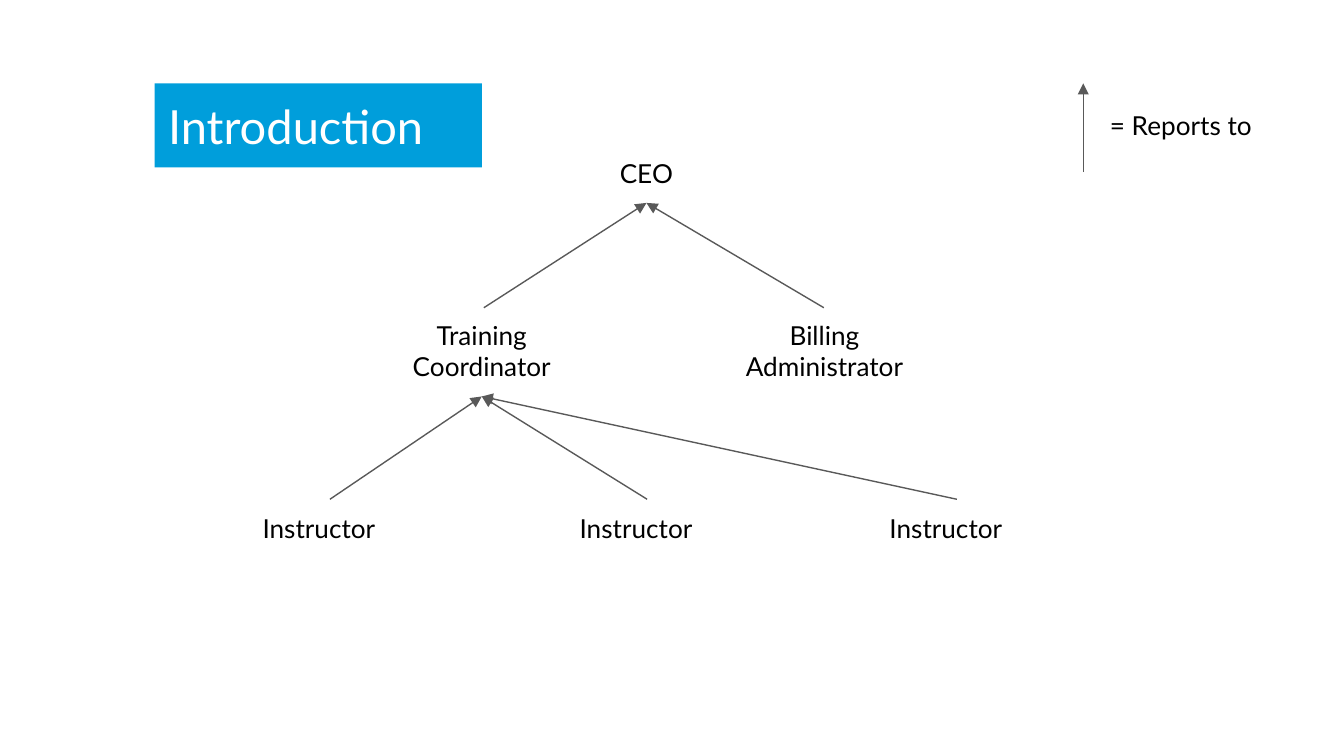
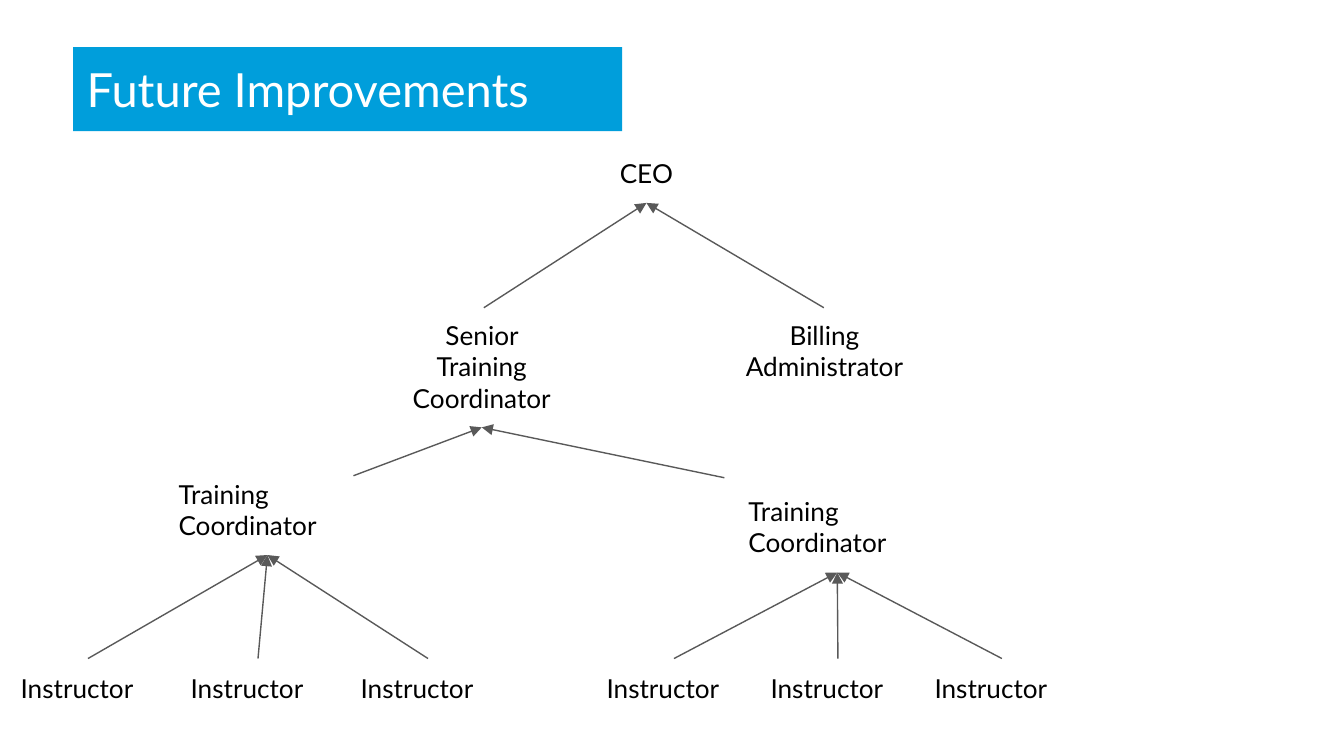
import pptx
import pptx.util
import pptx.dml.color
import pptx.enum.text
import pptx.enum.shapes
import pptx.oxml.ns
import lxml.etree

SCALE = 4572  # EMU in one px, 200 px to the inch
BLUE, WHITE, BLACK, GREY = "009EDB", "FFFFFF", "000000", "595959"
FONT = "Lato"
LEFT = pptx.enum.text.PP_ALIGN.LEFT
MID = pptx.enum.text.PP_ALIGN.CENTER


def px(*nums):
    return [pptx.util.Emu(n * SCALE) for n in nums]


def style(frame, size, color, align):
    frame.word_wrap = True
    frame.margin_left, frame.margin_right, frame.margin_top, frame.margin_bottom = px(20, 20, 20, 20)
    for para in frame.paragraphs:
        para.alignment = align
        for run in para.runs:
            run.font.size = pptx.util.Pt(size)
            run.font.name = FONT
            run.font.color.rgb = pptx.dml.color.RGBColor.from_string(color)


# Top of the tree, the same on both slides
top_roles = [
    ("Billing Administrator", 1063, 455, 328, 134, MID),
    ("CEO", 842, 214, 240, 88, MID),
]
top_lines = [(720, 458, 962, 302), (1226, 458, 962, 302)]

# Each team: point the arrows meet at, top of the row, left edges
charts = [
    {
        "title": ("Introduction", 230, 124, 487, 125),
        "roles": [
            ("Training Coordinator", 573, 455, 288, 134, MID),
            ("= Reports to", 1632, 143, 288, 88, LEFT),
        ],
        "lines": [(1612, 256, 1612, 124)],
        "teams": [(717, 590, 743, (371, 843, 1304))],
    },
    {
        "title": ("Future Improvements", 109, 70, 817, 125),
        "roles": [
            ("Senior Training Coordinator", 573, 455, 288, 182, MID),
            ("Training Coordinator", 246, 692, 304, 134, LEFT),
            ("Training Coordinator", 1094, 717, 304, 134, LEFT),
        ],
        "lines": [(526, 708, 717, 636), (1078, 711, 717, 636)],
        "teams": [
            (398, 826, 980, (11, 264, 517)),
            (1246, 852, 980, (883, 1127, 1371)),
        ],
    },
]

deck = pptx.Presentation()
deck.slide_width, deck.slide_height = px(2000, 1125)

for chart in charts:
    slide = deck.slides.add_slide(deck.slide_layouts[5])

    # Title band
    text, *place = chart["title"]
    title = slide.shapes.title
    title.left, title.top, title.width, title.height = px(*place)
    title.fill.solid()
    title.fill.fore_color.rgb = pptx.dml.color.RGBColor.from_string(BLUE)
    title.text_frame.text = text
    title.text_frame.auto_size = pptx.enum.text.MSO_AUTO_SIZE.NONE
    title.text_frame.vertical_anchor = pptx.enum.text.MSO_ANCHOR.MIDDLE
    style(title.text_frame, 25.2, WHITE, LEFT)

    # Instructors join the roles and arrows
    roles = top_roles + chart["roles"]
    lines = top_lines + chart["lines"]
    for boss_x, boss_y, row, lefts in chart["teams"]:
        for left in lefts:
            roles.append(("Instructor", left, row, 240, 88, LEFT))
            lines.append((left + 120, row, boss_x, boss_y))

    # Role labels
    for text, left, top, width, height, align in roles:
        box = slide.shapes.add_textbox(*px(left, top, width, height))
        box.text_frame.text = text
        box.text_frame.auto_size = pptx.enum.text.MSO_AUTO_SIZE.SHAPE_TO_FIT_TEXT
        style(box.text_frame, 14, BLACK, align)

    # Arrows that show who reports to whom
    for ends in lines:
        arrow = slide.shapes.add_connector(pptx.enum.shapes.MSO_CONNECTOR.STRAIGHT, *px(*ends))
        arrow.line.width = pptx.util.Pt(0.75)
        arrow.line.color.rgb = pptx.dml.color.RGBColor.from_string(GREY)
        props = arrow.line._get_or_add_ln()
        lxml.etree.SubElement(props, pptx.oxml.ns.qn("a:tailEnd"), type="triangle")
        lxml.etree.SubElement(props.getparent(), pptx.oxml.ns.qn("a:effectLst"))

deck.save("out.pptx")
